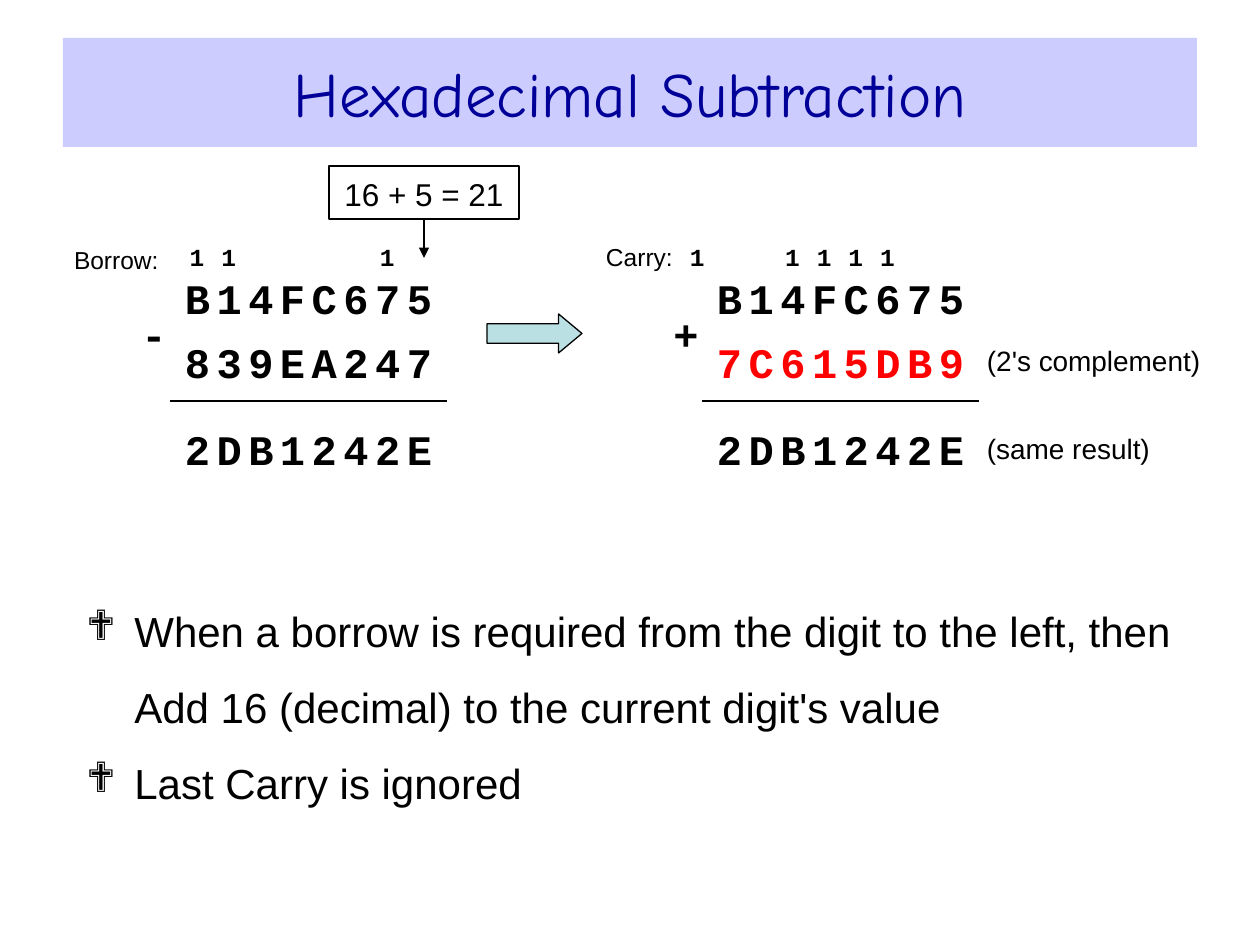
from lxml import etree
from pptx import Presentation
from pptx import util as u
from pptx.dml.color import RGBColor
from pptx.enum import shapes, text
from pptx.oxml.ns import qn

PX = u.Inches(1) / 126
COLORS = {
    "ink": "000000",
    "paper": "FFFFFF",
    "title": "000099",
    "title_band": "CCCCFF",
    "arrow": "BBE0E3",
    "complement": "FF0000",
}
CENTER, LEFT = text.PP_ALIGN.CENTER, text.PP_ALIGN.LEFT
TOP, MIDDLE = text.MSO_ANCHOR.TOP, text.MSO_ANCHOR.MIDDLE


def px(*lengths):
    return [round(length * PX) for length in lengths]


def rgb(name):
    return RGBColor.from_string(COLORS[name])


def style(paragraph, size, font="Arial", color="ink", bold=False, align=LEFT):
    paragraph.alignment = align
    for run in paragraph.runs:
        run.font.size = u.Pt(size)
        run.font.name = font
        run.font.bold = bold
        run.font.color.rgb = rgb(color)


def add_label(slide, box, words, size, anchor=MIDDLE, inset=0, **look):
    frame = slide.shapes.add_textbox(*px(*box)).text_frame
    frame.word_wrap = True
    frame.vertical_anchor = anchor
    frame.margin_left = frame.margin_right = 0
    frame.margin_top, frame.margin_bottom = px(inset, inset)
    frame.text = words
    style(frame.paragraphs[0], size, **look)


def add_block(slide, kind, box, fill, outlined=True):
    block = slide.shapes.add_shape(kind, *px(*box))
    block.shadow.inherit = False
    block.fill.solid()
    block.fill.fore_color.rgb = rgb(fill)
    if outlined:
        block.line.color.rgb = rgb("ink")
        block.line.width = u.Pt(0.75)
    else:
        block.line.fill.background()
    return block


def add_line(slide, start, end, width, arrowhead=False):
    line = slide.shapes.add_connector(
        shapes.MSO_CONNECTOR.STRAIGHT, *px(*start, *end))
    line.line.color.rgb = rgb("ink")
    line.line.width = u.Pt(width)
    properties = line._element.spPr
    if arrowhead:
        etree.SubElement(properties.find(qn("a:ln")), qn("a:tailEnd"), type="triangle")
    etree.SubElement(properties, qn("a:effectLst"))


def add_title(slide, box):
    band = add_block(slide, shapes.MSO_SHAPE.RECTANGLE, box, "title_band", outlined=False)
    band.text_frame.text = "Hexadecimal Subtraction"
    style(band.text_frame.paragraphs[0], 36, "Comic Neue", "title", align=CENTER)


def add_calculation(slide, left, top, operator, rows, marks, second_color="ink"):
    """Lay out a column sum, lowest digit first; marks lists the columns with a small 1."""
    def add_digit(column, offset, y, width, height, digit, size, color="ink"):
        x = left + offset + column * 222 / 7
        add_label(slide, (x, top + y, width, height), digit, size,
                  font="Courier New", color=color, bold=True, align=CENTER)

    for column in marks:
        add_digit(column, 15, 0, 24, 29, "1", 14)
    add_digit(0, -32, 72, 32, 40, operator, 24)
    for number, y, color in zip(rows, (32, 96, 183), ("ink", second_color, "ink")):
        for column in reversed(range(len(number))):
            add_digit(column, 8, y, 39, 48, number[column], 24, color)
    add_line(slide, (left, top + 159), (left + 277, top + 159), 1.5)


def add_callout(slide, left, top, width, height):
    box = add_block(slide, shapes.MSO_SHAPE.RECTANGLE, (left, top, width, height), "paper")
    frame = box.text_frame
    frame.margin_top, frame.margin_bottom = px(5, 5)
    frame.text = "16 + 5 = 21"
    frame.paragraphs[0].line_spacing = 1.1
    style(frame.paragraphs[0], 18, align=CENTER)
    middle, bottom = left + width / 2, top + height
    add_line(slide, (middle, bottom), (middle, bottom + 39), 0.75, arrowhead=True)


def add_rules(slide, box):
    rules = [
        ("When a borrow is required from the digit to the left, then", True),
        ("Add 16 (decimal) to the current digit's value", False),
        ("Last Carry is ignored", True),
    ]
    frame = slide.shapes.add_textbox(*px(*box)).text_frame
    frame.word_wrap = True
    indent = px(48)[0]
    for index, (rule, bulleted) in enumerate(rules):
        paragraph = frame.add_paragraph() if index else frame.paragraphs[0]
        paragraph.text = rule
        style(paragraph, 24)
        paragraph.space_before = u.Pt(14.8 if index else 0)
        properties = paragraph._p.get_or_add_pPr()
        properties.set("marL", str(indent))
        properties.set("indent", str(-indent if bulleted else 0))
        if bulleted:
            etree.SubElement(properties, qn("a:buFont"), typeface="Wingdings")
            etree.SubElement(properties, qn("a:buChar"), char="❖")
        else:
            etree.SubElement(properties, qn("a:buNone"))


def main():
    deck = Presentation()
    deck.slide_width, deck.slide_height = px(1260, 945)
    slide = deck.slides.add_slide(deck.slide_layouts[6])

    add_title(slide, (63, 38, 1134, 109))
    add_rules(slide, (74, 599, 1119, 262))

    add_label(slide, (74, 245, 96, 29), "Borrow:", 14)
    add_calculation(slide, 170, 242, "-", ("B14FC675", "839EA247", "2DB1242E"), (6, 1, 0))
    add_callout(slide, 329, 166, 190, 53)

    becomes = add_block(slide, shapes.MSO_SHAPE.RIGHT_ARROW, (487, 314, 95, 39), "arrow")
    becomes.adjustments[1] = 0.6

    add_label(slide, (606, 242, 80, 29), "Carry:", 14)
    add_calculation(slide, 702, 242, "+", ("B14FC675", "7C615DB9", "2DB1242E"),
                    (5, 4, 3, 2, -1), second_color="complement")
    for remark, top in (("(2's complement)", 338), ("(same result)", 426)):
        add_label(slide, (987, top, 215, 48), remark, 16, anchor=TOP, inset=6)

    deck.save("out.pptx")


if __name__ == "__main__":
    main()
